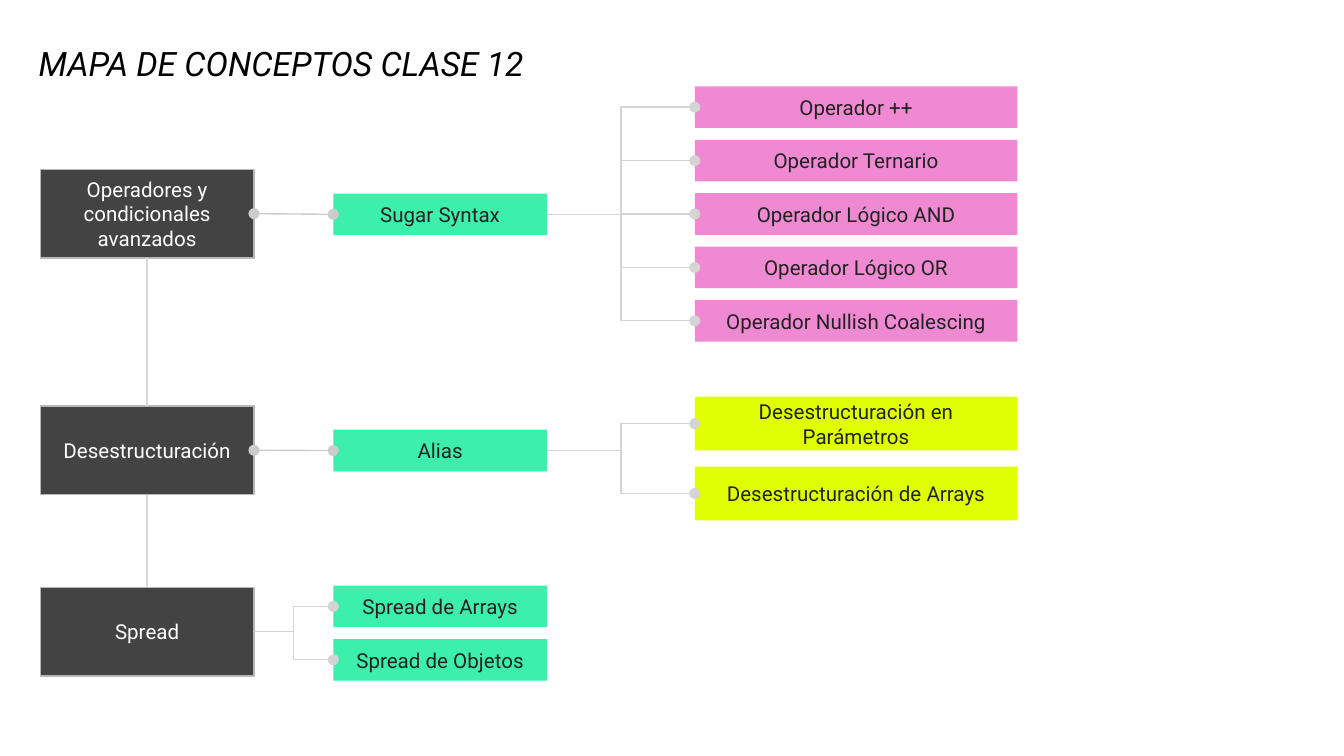
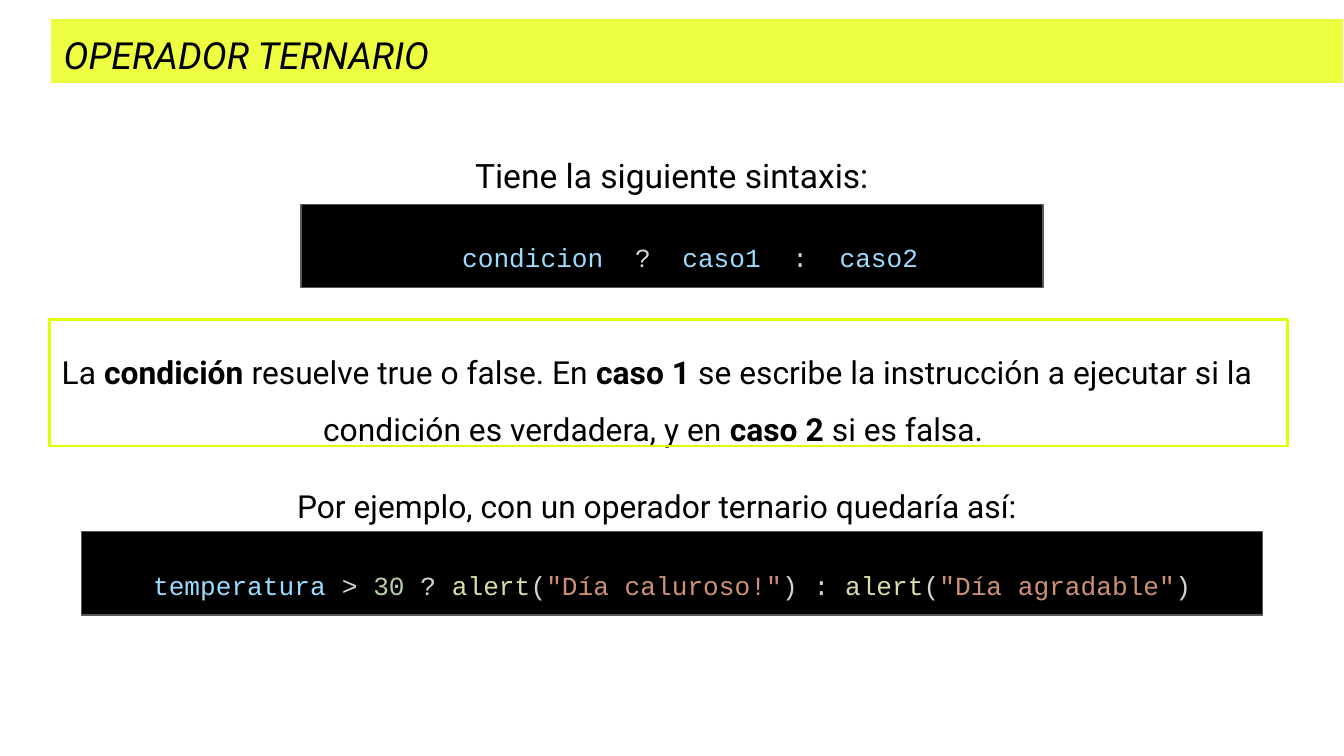
from dataclasses import dataclass
from typing import Any, NamedTuple

import lxml.etree
import pptx
import pptx.dml.color
import pptx.enum.shapes
import pptx.enum.text
import pptx.oxml.ns
import pptx.util

EMU_PER_PX = 2286  # 400 px to the inch
SLIDE_SIZE = (4000, 2250)
INSET = 40

BLACK, WHITE = "000000", "FFFFFF"
LIME = "E0FF00"
NODE_INK = "222222"
HAIRLINE = 0.75

SANS, MONO = "Roboto", "Courier New"
PLAIN, NAME, NUMBER, CALL, STRING = "D4D4D4", "9CDCFE", "B5CEA8", "DCDCAA", "CE9178"

LEFT = pptx.enum.text.PP_ALIGN.LEFT
CENTER = pptx.enum.text.PP_ALIGN.CENTER
MIDDLE = pptx.enum.text.MSO_ANCHOR.MIDDLE
TOP = pptx.enum.text.MSO_ANCHOR.TOP
STRAIGHT = pptx.enum.shapes.MSO_CONNECTOR.STRAIGHT
ELBOW = pptx.enum.shapes.MSO_CONNECTOR.ELBOW
TOP_SIDE, LEFT_SIDE, BOTTOM_SIDE, RIGHT_SIDE = range(4)


class Box(NamedTuple):
    left: int
    top: int
    width: int
    height: int


class Run(NamedTuple):
    text: str
    color: str = BLACK
    bold: bool = False


@dataclass(frozen=True)
class Paragraph:
    runs: list[Run]
    size: int
    font: str = SANS
    italic: bool = False
    align: Any = CENTER
    spacing: float = 1.0
    before: int = 0
    after: int = 0
    indent: int = 0


@dataclass(frozen=True)
class Level:
    """Column of the concept map: place, size and colours of its nodes."""
    left: int
    width: int
    height: int
    fill: str
    ink: str = NODE_INK
    border: str | None = None


@dataclass(frozen=True)
class Branch:
    """Children of one node, stacked at an equal pitch."""
    level: Level
    first_top: int
    pitch: int
    labels: list[str]


@dataclass(frozen=True)
class Topic:
    label: str
    top: int
    subtopics: Branch
    details: Branch | None = None


ROOT = Level(120, 636, 264, "434343", WHITE, "B7B7B7")
SUBTOPIC = Level(992, 636, 124, "3CEFAB")
OPERATOR = Level(2068, 960, 124, "EF89D2")
DESTRUCTURING = Level(2068, 960, 160, LIME)
NODE_PITCH = 159

TOPICS = [
    Topic("Operadores y condicionales avanzados", 504,
          Branch(SUBTOPIC, 576, NODE_PITCH, ["Sugar Syntax"]),
          Branch(OPERATOR, 257, NODE_PITCH,
                 ["Operador ++", "Operador Ternario", "Operador Lógico AND",
                  "Operador Lógico OR", "Operador Nullish Coalescing"])),
    Topic("Desestructuración", 1208,
          Branch(SUBTOPIC, 1279, NODE_PITCH, ["Alias"]),
          Branch(DESTRUCTURING, 1181, 208,
                 ["Desestructuración en Parámetros", "Desestructuración de Arrays"])),
    Topic("Spread", 1748,
          Branch(SUBTOPIC, 1743, NODE_PITCH, ["Spread de Arrays", "Spread de Objetos"])),
]

EXPLANATION = [
    Run("La "), Run("condición", bold=True),
    Run(" resuelve true o false. En "), Run("caso 1 ", bold=True),
    Run("se escribe la instrucción a ejecutar si la condición es verdadera, y en "),
    Run("caso 2 ", bold=True), Run("si es falsa. "),
]
SYNTAX = [
    Run("condicion", NAME), Run("  ?  ", PLAIN), Run("caso1", NAME),
    Run("  :  ", PLAIN), Run("caso2", NAME),
]
EXAMPLE = [
    Run("temperatura", NAME), Run(" > ", PLAIN), Run("30", NUMBER), Run(" ? ", PLAIN),
    Run("alert", CALL), Run("(", PLAIN), Run('"Día caluroso!"', STRING), Run(") : ", PLAIN),
    Run("alert", CALL), Run("(", PLAIN), Run('"Día agradable"', STRING), Run(")", PLAIN),
]


def px(length: int) -> pptx.util.Emu:
    return pptx.util.Emu(length * EMU_PER_PX)


def rgb(color: str) -> pptx.dml.color.RGBColor:
    return pptx.dml.color.RGBColor.from_string(color)


def set_values(target: Any, values: dict[str, Any]) -> None:
    for name, value in values.items():
        setattr(target, name, value)


def write(frame: Any, paragraphs: list[Paragraph], anchor: Any = TOP) -> None:
    sides = ("margin_left", "margin_top", "margin_right", "margin_bottom")
    set_values(frame, {"word_wrap": True, "vertical_anchor": anchor,
                       **dict.fromkeys(sides, px(INSET))})
    for index, content in enumerate(paragraphs):
        paragraph = frame.add_paragraph() if index else frame.paragraphs[0]
        set_values(paragraph, {
            "alignment": content.align,
            "line_spacing": content.spacing,
            "space_before": pptx.util.Pt(content.before),
            "space_after": pptx.util.Pt(content.after),
        })
        if content.indent:
            paragraph._p.get_or_add_pPr().set("indent", str(px(content.indent)))
        for part in content.runs:
            run = paragraph.add_run()
            run.text = part.text
            set_values(run.font, {"name": content.font, "size": pptx.util.Pt(content.size),
                                  "bold": part.bold, "italic": content.italic})
            run.font.color.rgb = rgb(part.color)


def add_text(slide: Any, box: Box, paragraphs: list[Paragraph], grow: bool = False) -> None:
    frame = slide.shapes.add_textbox(*map(px, box)).text_frame
    write(frame, paragraphs)
    if grow:
        frame.auto_size = pptx.enum.text.MSO_AUTO_SIZE.SHAPE_TO_FIT_TEXT


def add_rect(slide: Any, box: Box, fill: str | None = None, border: str | None = None,
             weight: float = HAIRLINE) -> Any:
    rect = slide.shapes.add_shape(pptx.enum.shapes.MSO_SHAPE.RECTANGLE, *map(px, box))
    rect.shadow.inherit = False
    if fill:
        rect.fill.solid()
        rect.fill.fore_color.rgb = rgb(fill)
    else:
        rect.fill.background()
    if border:
        rect.line.color.rgb = rgb(border)
        rect.line.width = pptx.util.Pt(weight)
    else:
        rect.line.fill.background()
    return rect


def add_node(slide: Any, level: Level, top: int, label: str) -> Any:
    node = add_rect(slide, Box(level.left, top, level.width, level.height),
                    level.fill, level.border)
    write(node.text_frame, [Paragraph([Run(label, level.ink)], 11)], MIDDLE)
    return node


def join(slide: Any, route: Any, start: tuple[Any, int], end: tuple[Any, int],
         color: str, dots: tuple[str, ...] = ()) -> None:
    """Link two (node, side) pairs, with round dots at the ends named in dots."""
    link = slide.shapes.add_connector(route, 0, 0, 0, 0)
    link.begin_connect(*start)
    link.end_connect(*end)
    link.line.color.rgb = rgb(color)
    link.line.width = pptx.util.Pt(HAIRLINE)
    properties = link._element.spPr
    outline = properties.find(pptx.oxml.ns.qn("a:ln"))
    for end_tag in dots:
        lxml.etree.SubElement(outline, pptx.oxml.ns.qn(end_tag), type="oval")
    lxml.etree.SubElement(properties, pptx.oxml.ns.qn("a:effectLst"))


def add_branch(slide: Any, parent: Any, branch: Branch) -> list[Any]:
    """Draw the children of a node and link them: one by a line, several by elbows."""
    children = [add_node(slide, branch.level, branch.first_top + index * branch.pitch, label)
                for index, label in enumerate(branch.labels)]
    if len(children) == 1:
        join(slide, STRAIGHT, (parent, RIGHT_SIDE), (children[0], LEFT_SIDE),
             "CCCCCC", ("a:headEnd", "a:tailEnd"))
    else:
        for child in children:
            join(slide, ELBOW, (child, LEFT_SIDE), (parent, RIGHT_SIDE),
                 "D4D4D4", ("a:headEnd",))
    return children


def title(text: str, size: int) -> list[Paragraph]:
    return [Paragraph([Run(text)], size, italic=True, align=LEFT)]


def add_code(slide: Any, panel: Box, text_box: Box, code: list[Run], indent: int = 0,
             after: int = 0) -> None:
    add_rect(slide, panel, BLACK, "595959")
    add_text(slide, text_box,
             [Paragraph(code, 14, MONO, spacing=1.36, indent=indent, after=after)], grow=True)


def build_concept_map(slide: Any) -> None:
    add_text(slide, Box(76, 88, 3304, 184), title("MAPA DE CONCEPTOS CLASE 12", 18))
    previous = None
    for topic in TOPICS:
        root = add_node(slide, ROOT, topic.top, topic.label)
        subtopics = add_branch(slide, root, topic.subtopics)
        if topic.details:
            add_branch(slide, subtopics[0], topic.details)
        if previous:
            join(slide, STRAIGHT, (previous, BOTTOM_SIDE), (root, TOP_SIDE), "D9D9D9")
        previous = root


def build_ternary_operator(slide: Any) -> None:
    add_text(slide, Box(0, 360, 4000, 204),
             [Paragraph([Run("Tiene la siguiente sintaxis:")], 18, spacing=1.5, after=11)])
    add_code(slide, Box(896, 608, 2208, 248), Box(896, 644, 2116, 176), SYNTAX,
             indent=200, after=11)
    add_text(slide, Box(76, 952, 3760, 456), [
        Paragraph(EXPLANATION, 17, spacing=1.5),
        Paragraph([Run("Por ejemplo, con un operador ternario quedaría así:")], 17,
                  spacing=1.5, before=11, after=11),
    ])
    add_code(slide, Box(242, 1582, 3516, 248), Box(336, 1620, 3328, 176), EXAMPLE)
    add_rect(slide, Box(148, 952, 3684, 376), border=LIME, weight=1.5)
    band = add_rect(slide, Box(150, 56, 3850, 194), "EEFF41", WHITE)
    write(band.text_frame, title("OPERADOR TERNARIO", 20))


def main() -> None:
    deck = pptx.Presentation()
    deck.slide_width, deck.slide_height = map(px, SLIDE_SIZE)
    blank = deck.slide_layouts[6]
    for build in (build_concept_map, build_ternary_operator):
        build(deck.slides.add_slide(blank))
    deck.save("out.pptx")


if __name__ == "__main__":
    main()
